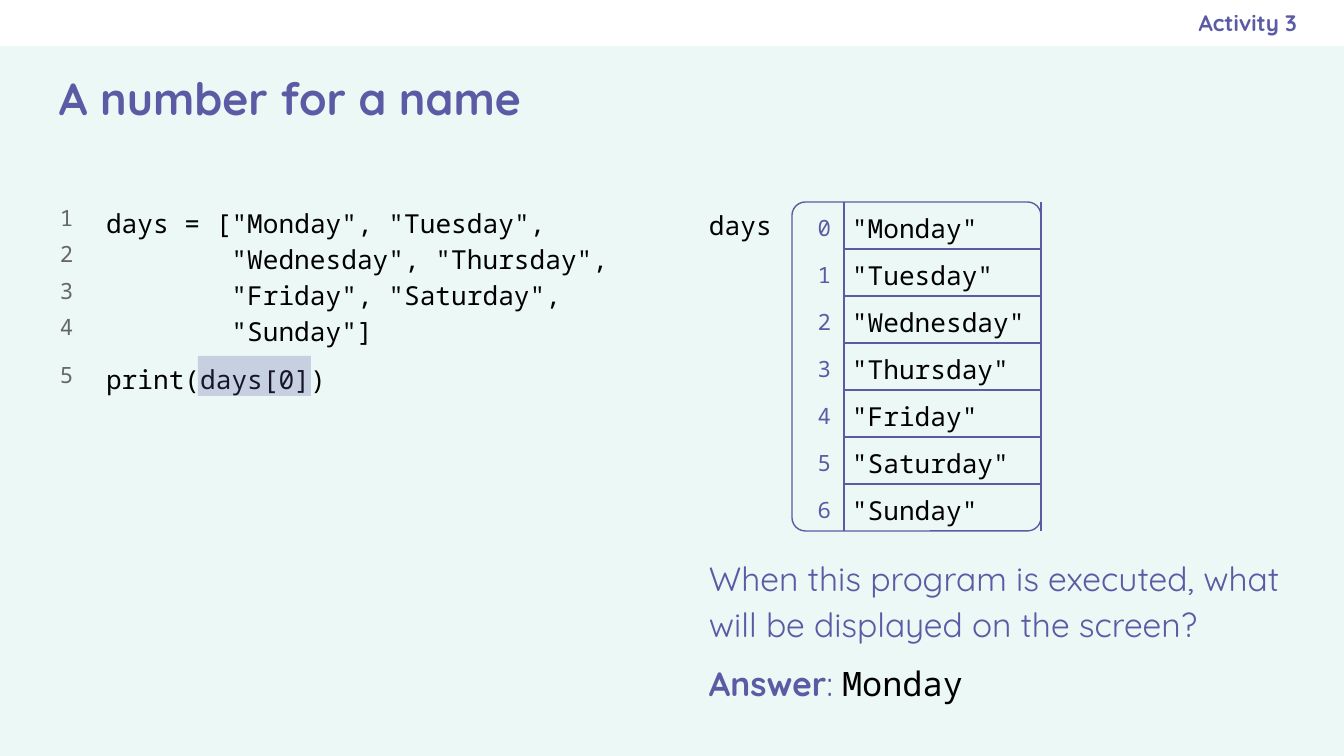
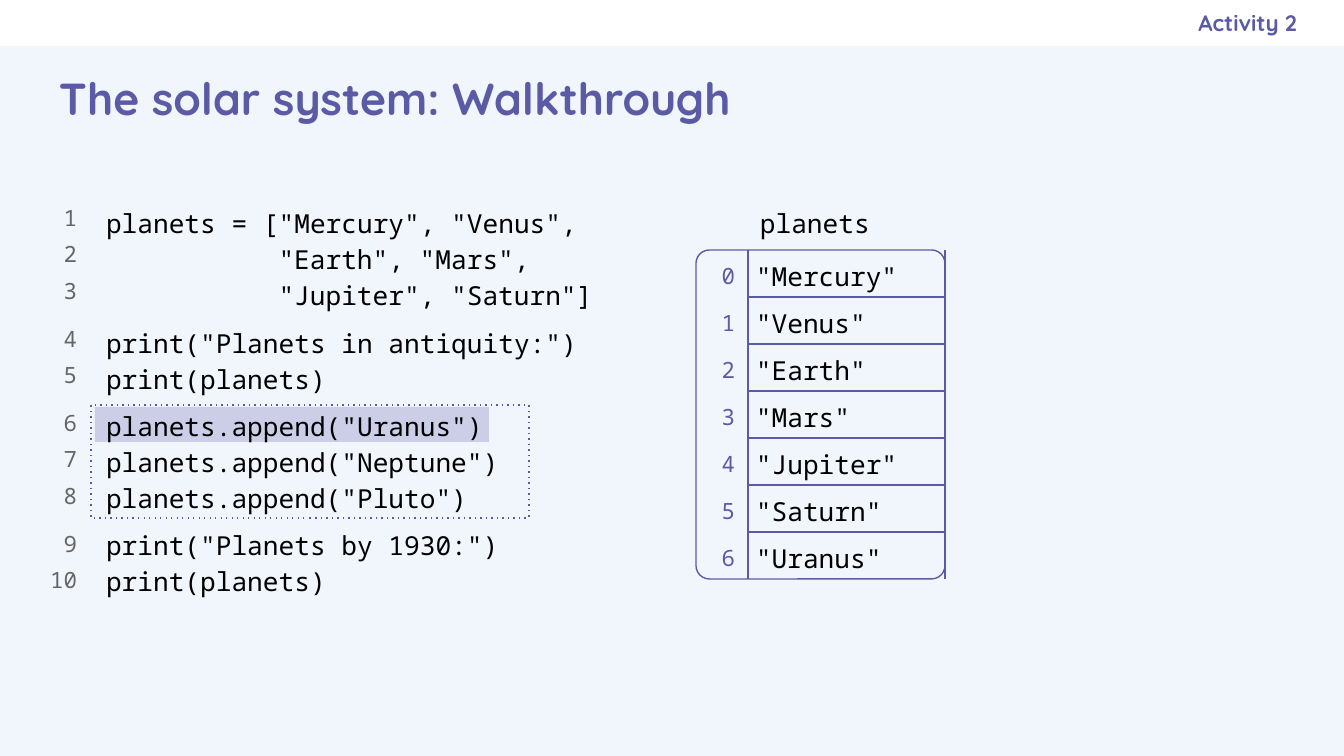
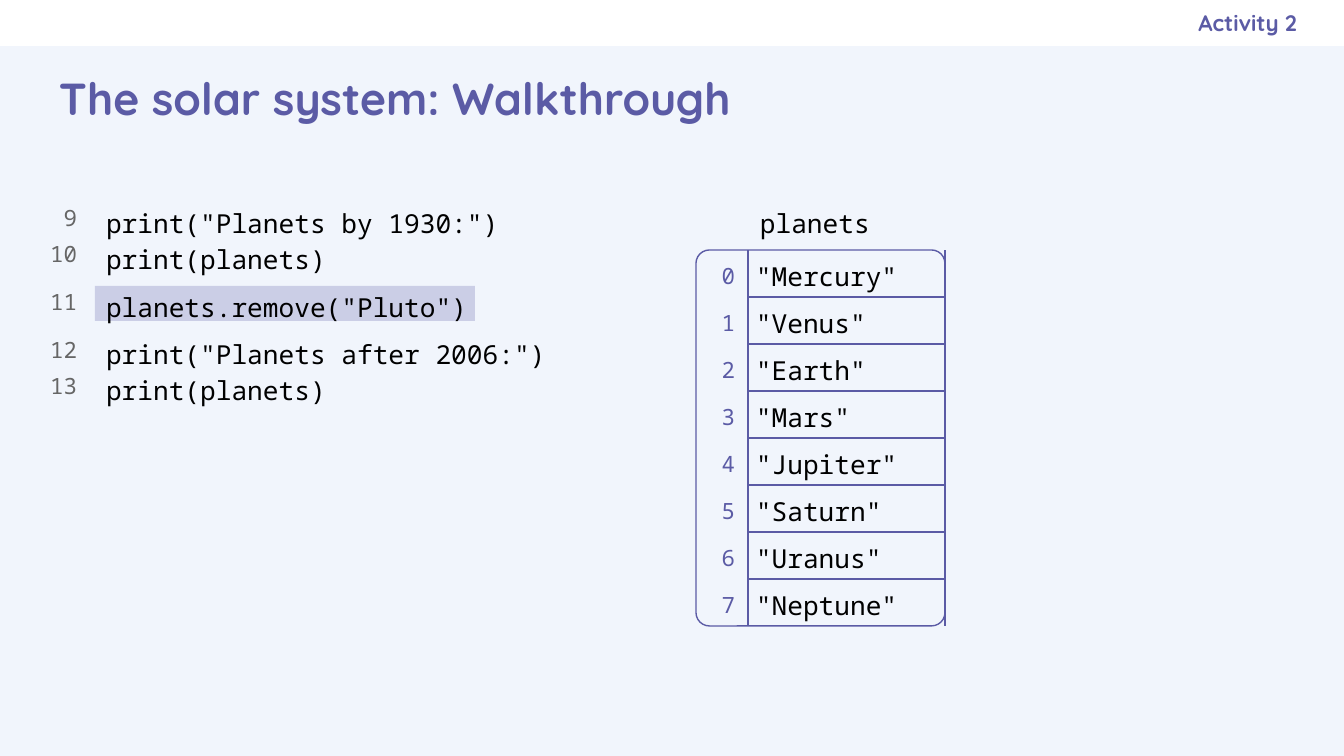
import pptx
import pptx.dml.color
import pptx.enum.shapes
import pptx.enum.text
import pptx.oxml.ns
import pptx.util
import lxml.etree

RGB = pptx.dml.color.RGBColor
SHAPE = pptx.enum.shapes.MSO_SHAPE
ALIGN = pptx.enum.text.PP_ALIGN
ANCHOR = pptx.enum.text.MSO_ANCHOR
Pt = pptx.util.Pt
qn = pptx.oxml.ns.qn

EMU_PER_PX = pptx.util.Inches(1) / 134.4

PURPLE = RGB(0x5B, 0x5B, 0xA5)
BLACK = RGB(0x00, 0x00, 0x00)
GREY = RGB(0x66, 0x66, 0x66)
WHITE = RGB(0xFF, 0xFF, 0xFF)
MINT = RGB(0xEC, 0xF8, 0xF5)
PALE_BLUE = RGB(0xF1, 0xF5, 0xFC)

HEADING_FONT = "Quicksand"
CODE_FONT = "Noto Sans Mono"
CODE_SIZE = 14
NUMBER_SIZE = 12
CODE_CHAR_WIDTH = Pt(CODE_SIZE * 0.6)
CODE_SPACING = 1.15
BLOCK_GAP = 6
NUMBER_GAP = 3

BAND_HEIGHT = 46
INSET = 13
SMALL_INSET = 8
INDEX_WIDTH = 52
VALUE_WIDTH = 197
ROW_HEIGHT = 47


def px(length):
    return pptx.util.Emu(round(length * EMU_PER_PX))


def place(box):
    return [px(length) for length in box]


def set_font(font, name, size, color, bold=False):
    font.name = name
    font.size = Pt(size)
    font.color.rgb = color
    font.bold = bold


def set_insets(target, left, top, right, bottom):
    target.margin_left = px(left)
    target.margin_top = px(top)
    target.margin_right = px(right)
    target.margin_bottom = px(bottom)


def add_text_frame(slide, box, insets=(INSET, INSET, INSET, INSET)):
    frame = slide.shapes.add_textbox(*place(box)).text_frame
    frame.word_wrap = True
    set_insets(frame, *insets)
    return frame


def next_paragraph(frame, is_first):
    return frame.paragraphs[0] if is_first else frame.add_paragraph()


def add_plain_shape(slide, kind, box, fill=None, line=None):
    shape = slide.shapes.add_shape(kind, *place(box))
    shape.shadow.inherit = False
    if fill is None:
        shape.fill.background()
    else:
        shape.fill.solid()
        shape.fill.fore_color.rgb = fill
    if line is None:
        shape.line.fill.background()
    else:
        shape.line.color.rgb = line
        shape.line.width = Pt(0.75)
    return shape


def add_highlight(slide, box):
    highlight = add_plain_shape(slide, SHAPE.RECTANGLE, box, fill=PURPLE)
    color = highlight.element.spPr.find(qn("a:solidFill")).find(qn("a:srgbClr"))
    lxml.etree.SubElement(color, qn("a:alpha"), val="25000")


def add_dotted_frame(slide, box):
    frame = add_plain_shape(slide, SHAPE.RECTANGLE, box, line=PURPLE)
    outline = frame.element.spPr.find(qn("a:ln"))
    lxml.etree.SubElement(outline, qn("a:prstDash"), val="dot")


def add_activity_slide(prs, heading, activity, background):
    slide = prs.slides.add_slide(prs.slide_layouts[5])
    slide.background.fill.solid()
    slide.background.fill.fore_color.rgb = background
    add_plain_shape(slide, SHAPE.RECTANGLE, (0, 0, 1344, BAND_HEIGHT), fill=WHITE)

    title = slide.shapes.title
    title.left, title.top, title.width, title.height = place((46, BAND_HEIGHT, 1253, 103))
    frame = title.text_frame
    frame.text = heading
    frame.auto_size = pptx.enum.text.MSO_AUTO_SIZE.NONE
    frame.vertical_anchor = ANCHOR.MIDDLE
    set_insets(frame, INSET, INSET, INSET, INSET)
    frame.paragraphs[0].alignment = ALIGN.LEFT
    set_font(frame.paragraphs[0].font, HEADING_FONT, 24, PURPLE, bold=True)

    label = add_text_frame(slide, (773, 0, 524, BAND_HEIGHT), (INSET, INSET, 0, INSET))
    label.vertical_anchor = ANCHOR.MIDDLE
    label.text = activity
    label.paragraphs[0].alignment = ALIGN.RIGHT
    set_font(label.paragraphs[0].font, HEADING_FONT, 12, PURPLE, bold=True)
    return slide


def add_code(slide, blocks, box):
    frame = add_text_frame(slide, box)
    for block_index, block in enumerate(blocks):
        for line_index, line in enumerate(block):
            paragraph = next_paragraph(frame, block_index == line_index == 0)
            paragraph.text = line
            paragraph.line_spacing = CODE_SPACING
            if block_index and line_index == 0:
                paragraph.space_before = Pt(BLOCK_GAP)
            if line.startswith('"'):
                columns = block[0].index("[") + 1
                properties = paragraph._p.get_or_add_pPr()
                properties.set("marL", str(columns * CODE_CHAR_WIDTH))
                properties.set("indent", "0")
            set_font(paragraph.font, CODE_FONT, CODE_SIZE, BLACK)


def add_line_numbers(slide, blocks, box, first=1, side_inset=0, alignment=ALIGN.RIGHT):
    frame = add_text_frame(slide, box, (side_inset, SMALL_INSET, side_inset, INSET))
    number = first
    for block_index, block in enumerate(blocks):
        for line_index in range(len(block)):
            paragraph = next_paragraph(frame, number == first)
            paragraph.text = str(number)
            paragraph.alignment = alignment
            paragraph.line_spacing = CODE_SPACING
            starts_block = block_index and line_index == 0
            paragraph.space_before = Pt(NUMBER_GAP + (BLOCK_GAP if starts_block else 0))
            set_font(paragraph.font, CODE_FONT, NUMBER_SIZE, GREY)
            number += 1


def set_borders(cell, drawn_sides):
    properties = cell._tc.get_or_add_tcPr()
    for side in "LRTB":
        border = lxml.etree.SubElement(properties, qn(f"a:ln{side}"), w=str(Pt(0.75)))
        if side in drawn_sides:
            fill = lxml.etree.SubElement(border, qn("a:solidFill"))
            lxml.etree.SubElement(fill, qn("a:srgbClr"), val=str(PURPLE))
        else:
            lxml.etree.SubElement(border, qn("a:noFill"))


def fill_cell(cell, text, size, color, alignment, borders):
    cell.text = text
    cell.vertical_anchor = ANCHOR.MIDDLE
    set_insets(cell, SMALL_INSET, 0, INSET, 0)
    set_borders(cell, borders)
    cell.fill.background()
    paragraph = cell.text_frame.paragraphs[0]
    paragraph.alignment = alignment
    paragraph.line_spacing = CODE_SPACING
    set_font(paragraph.font, CODE_FONT, size, color)


def add_list_diagram(slide, values, left, top):
    box = (left, top, INDEX_WIDTH + VALUE_WIDTH, ROW_HEIGHT * len(values))
    table = slide.shapes.add_table(len(values), 2, *place(box)).table
    table.first_row = False
    table.horz_banding = False
    table.columns[0].width = px(INDEX_WIDTH)
    table.columns[1].width = px(VALUE_WIDTH)
    for index, value in enumerate(values):
        table.rows[index].height = px(ROW_HEIGHT)
        borders = "LR"
        if index > 0:
            borders += "T"
        if index < len(values) - 1:
            borders += "B"
        fill_cell(table.cell(index, 0), str(index), NUMBER_SIZE, PURPLE, ALIGN.RIGHT, "R")
        fill_cell(table.cell(index, 1), f'"{value}"', CODE_SIZE, BLACK, ALIGN.LEFT, borders)
    outline = add_plain_shape(slide, SHAPE.ROUNDED_RECTANGLE, box, line=PURPLE)
    outline.adjustments[0] = 0.054


def add_question(slide, runs, box):
    frame = add_text_frame(slide, box, (INSET, INSET, SMALL_INSET, INSET))
    paragraph = frame.paragraphs[0]
    paragraph.line_spacing = 1.14
    paragraph.space_after = Pt(10)
    for text, font_name, color, bold in runs:
        run = paragraph.add_run()
        run.text = text
        set_font(run.font, font_name, 18, color, bold)


def build_days_slide(prs):
    slide = add_activity_slide(prs, "A number for a name", "Activity 3", MINT)
    blocks = [
        ['days = ["Monday", "Tuesday",', '"Wednesday", "Thursday",',
         '"Friday", "Saturday",', '"Sunday"]'],
        ["print(days[0])"],
    ]
    days = ["Monday", "Tuesday", "Wednesday", "Thursday", "Friday", "Saturday", "Sunday"]
    add_question(
        slide,
        [("When this program is executed, what will be displayed on the screen?",
          HEADING_FONT, PURPLE, False)],
        (696, 539, 601, 118))
    add_list_diagram(slide, days, 792, 202)
    add_code(slide, [["days"]], (696, 192, 91, 54))
    add_code(slide, blocks, (93, 190, 531, 341))
    add_line_numbers(slide, blocks, (47, 192, 40, 329),
                     side_inset=INSET, alignment=ALIGN.LEFT)
    add_question(
        slide,
        [("Answer", HEADING_FONT, PURPLE, True),
         (": ", HEADING_FONT, PURPLE, False),
         ("Monday", CODE_FONT, BLACK, False)],
        (696, 644, 601, 70))
    add_highlight(slide, (198, 356, 113, 40))


def build_planets_slide(prs, planets, blocks, first_line, highlight):
    slide = add_activity_slide(prs, "The solar system: Walkthrough", "Activity 2", PALE_BLUE)
    add_list_diagram(slide, planets, 696, 250)
    add_line_numbers(slide, blocks, (47, 192, 30, 499), first=first_line)
    add_code(slide, [["planets"]], (747, 190, 140, 54))
    add_highlight(slide, highlight)
    add_code(slide, blocks, (93, 190, 524, 499))
    return slide


def main():
    prs = pptx.Presentation()
    prs.slide_width, prs.slide_height = place((1344, 756))

    build_days_slide(prs)

    planets = ["Mercury", "Venus", "Earth", "Mars", "Jupiter", "Saturn", "Uranus"]
    report_1930 = ['print("Planets by 1930:")', "print(planets)"]
    append_slide = build_planets_slide(
        prs, planets,
        [
            ['planets = ["Mercury", "Venus",', '"Earth", "Mars",', '"Jupiter", "Saturn"]'],
            ['print("Planets in antiquity:")', "print(planets)"],
            ['planets.append("Uranus")', 'planets.append("Neptune")',
             'planets.append("Pluto")'],
            report_1930,
        ],
        first_line=1, highlight=(95, 407, 394, 35))
    add_dotted_frame(append_slide, (91, 405, 438, 113))

    build_planets_slide(
        prs, planets + ["Neptune"],
        [
            report_1930,
            ['planets.remove("Pluto")'],
            ['print("Planets after 2006:")', "print(planets)"],
        ],
        first_line=9, highlight=(95, 286, 380, 35))

    prs.save("out.pptx")


if __name__ == "__main__":
    main()
